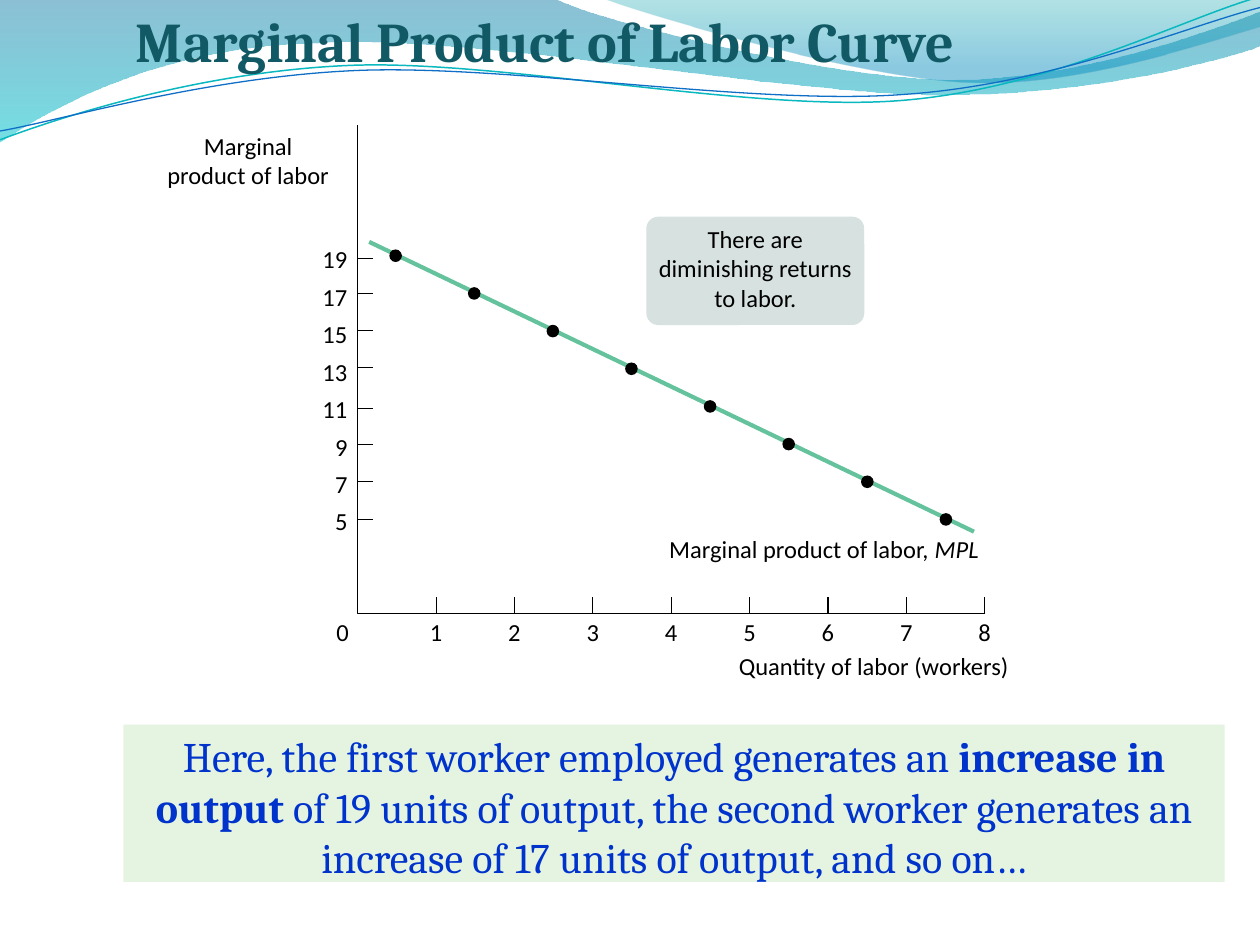
"""Build the marginal product of labor slide."""
import pptx
import pptx.dml.color
import pptx.enum.shapes
import pptx.enum.text
import pptx.oxml.ns
import pptx.util
import lxml.etree

Inches, Pt = pptx.util.Inches, pptx.util.Pt
qn = pptx.oxml.ns.qn
SHAPES = pptx.enum.shapes.MSO_SHAPE
ALIGN = pptx.enum.text.PP_ALIGN

TITLE = [("Marginal Product of Labor Curve", "b")]
SUMMARY = [
    ("Here, the first worker employed generates an ", ""),
    ("increase in output", "b"),
    (" of 19 units of output, the second worker generates an increase of 17 units of output, and so on…", ""),
]
CURVE_LABEL = [("Marginal product of labor, ", ""), ("MPL", "i")]
CALLOUT = [("There are diminishing returns to labor.", "")]
Y_TITLE = [("Marginal product of labor", "")]
X_TITLE = [("Quantity of labor (workers)", "")]
PRODUCT_TICKS = {19: 2.05, 17: 2.33, 15: 2.62, 13: 2.92, 11: 3.24, 9: 3.53, 7: 3.82, 5: 4.12}
WORKERS = range(9)

BANDS = [
    ([[(0, 0)], [(4.4, -0.01)],
      [(4.76, 0.17), (6.64, 0.63), (7.58, 0.63)],
      [(8.53, 0.63), (9.58, 0.26), (10, 0.09)], [(10.01, 0.36)],
      [(9.83, 0.44), (8.7, 0.76), (7.46, 0.75)],
      [(6.22, 0.75), (3.82, 0.28), (2.57, 0.34)],
      [(1.29, 0.36), (0.46, 0.83), (-0.01, 1.13)], [(0, 0)]],
     [(0, "0074A1", 45), (1, "00C6CF", 55)]),
    ([[(4.79, -0.01)],
      [(5.09, 0.11), (6.82, 0.62), (7.69, 0.65)],
      [(8.56, 0.69), (9.61, 0.32), (10, 0.21)], [(10, 0)], [(4.79, -0.01)]],
     [(0, "00A1A9", 30), (0.8, "008BBF", 45)]),
]
WAVES = [
    ([[(0, 1.11)], [(0.48, 0.93), (1.58, 0.57), (2.77, 0.52)],
      [(3.95, 0.47), (5.93, 0.89), (7.13, 0.8)],
      [(8.33, 0.71), (9.38, 0.15), (9.98, -0.02)]], "0AB8BF", 0.85),
    ([[(0, 1.04)], [(0.47, 0.96), (1.64, 0.61), (2.83, 0.56)],
      [(4.03, 0.51), (5.97, 0.84), (7.17, 0.75)],
      [(8.36, 0.67), (9.41, 0.21), (10, 0.06)]], "0F6FC6", 0.75),
]
AXES = [[(7.82, 4.87)], [(2.84, 4.87)], [(2.84, 0.99)]]

ORIGIN_X, ORIGIN_Y = 2.84, 4.87
WORKER_STEP = 0.622
DOT_SIZE = 0.1
DIGIT_WIDTH = 0.1

presentation = pptx.Presentation()
presentation.slide_width, presentation.slide_height = Inches(10), Inches(7.5)
slide = presentation.slides.add_slide(presentation.slide_layouts[6])


def color(value):
    return pptx.dml.color.RGBColor.from_string(value)


def set_line(shape, value, width):
    shape.line.color.rgb = color(value)
    shape.line.width = Pt(width)


def add_path(segments, closed):
    ends = [tuple(map(Inches, segment[-1])) for segment in segments]
    builder = slide.shapes.build_freeform(*ends[0])
    builder.add_line_segments(ends[1:], close=closed)
    shape = builder.convert_to_shape()
    shape.shadow.inherit = False
    lines = list(shape.element.spPr.iter(qn("a:lnTo")))
    for line, segment in zip(lines, segments[1:]):
        if len(segment) == 3:
            curve = lxml.etree.Element(qn("a:cubicBezTo"))
            for x, y in segment:
                point = lxml.etree.SubElement(curve, qn("a:pt"))
                point.set("x", str(Inches(x) - shape.left))
                point.set("y", str(Inches(y) - shape.top))
            line.getparent().replace(line, curve)
    return shape


def add_band(segments, stops):
    shape = add_path(segments, True)
    shape.line.fill.background()
    shape.fill.gradient()
    shape.fill.gradient_angle = 270
    for stop, (position, value, _) in zip(shape.fill.gradient_stops, stops):
        stop.position = position
        stop.color.rgb = color(value)
    for element, (_, _, opacity) in zip(shape.element.spPr.iter(qn("a:srgbClr")), stops):
        lxml.etree.SubElement(element, qn("a:alpha")).set("val", str(opacity * 1000))


def add_curve(segments, value, width):
    shape = add_path(segments, False)
    shape.fill.background()
    set_line(shape, value, width)


def add_line(start, end, value="000000", width=0.63):
    line = slide.shapes.add_connector(
        pptx.enum.shapes.MSO_CONNECTOR.STRAIGHT, *map(Inches, (*start, *end)))
    set_line(line, value, width)
    lxml.etree.SubElement(line.element.spPr, qn("a:effectLst"))


def add_filled(kind, box, value):
    shape = slide.shapes.add_shape(kind, *map(Inches, box))
    shape.shadow.inherit = False
    shape.fill.solid()
    shape.fill.fore_color.rgb = color(value)
    shape.line.fill.background()
    return shape


def write(shape, runs, size=14, font="Calibri", value="000000",
          align=ALIGN.CENTER, wrap=True, insets=(0, 0)):
    frame = shape.text_frame
    frame.word_wrap = wrap
    frame.vertical_anchor = pptx.enum.text.MSO_ANCHOR.TOP
    frame.margin_left = frame.margin_right = Inches(insets[0])
    frame.margin_top = frame.margin_bottom = Inches(insets[1])
    paragraph = frame.paragraphs[0]
    paragraph.alignment = align
    for text, style in runs:
        run = paragraph.add_run()
        run.text = text
        run.font.size, run.font.name = Pt(size), font
        run.font.color.rgb = color(value)
        run.font.bold, run.font.italic = style == "b", style == "i"
    return paragraph


def add_text(box, runs, **options):
    write(slide.shapes.add_textbox(*map(Inches, box)), runs, **options)


def add_number(left, top, number):
    text = str(number)
    add_text((left, top, DIGIT_WIDTH * len(text), 0.19), [(text, "")], align=ALIGN.LEFT, wrap=False)


for band in BANDS:
    add_band(*band)
for wave in WAVES:
    add_curve(*wave)

summary = add_filled(SHAPES.RECTANGLE, (0.98, 5.75, 8.74, 1.25), "E5F4E0")
write(summary, SUMMARY, size=24, font="Cambria", value="0033CC",
      insets=(0.1, 0.05)).space_before = Pt(4.8)
add_text((0.98, 0, 8.74, 0.64), TITLE, size=32, font="Cambria", value="115964",
         align=ALIGN.LEFT, insets=(0.1, 0.05))

add_line((2.93, 1.92), (7.73, 4.22), "64C29C", 2.38)
add_curve(AXES, "000000", 0.63)
for worker in WORKERS:
    x = ORIGIN_X + worker * WORKER_STEP
    if worker:
        add_line((x, ORIGIN_Y), (x, ORIGIN_Y - 0.13))
    add_number(x - 0.05 if worker else 2.67, 4.9, worker)
for index, (product, y) in enumerate(PRODUCT_TICKS.items()):
    add_line((ORIGIN_X, y), (ORIGIN_X + 0.12, y))
    add_number(2.76 - DIGIT_WIDTH * len(str(product)), 1.94 + index * 0.297, product)
    add_filled(SHAPES.OVAL, (3.09 + index * 0.624, 1.98 + index * 0.299, DOT_SIZE, DOT_SIZE), "000000")

add_text((5.21, 4.24, 2.66, 0.24), CURVE_LABEL, wrap=False)
add_text((1.29, 1.04, 1.36, 0.47), Y_TITLE)
add_text((5.78, 5.17, 2.31, 0.24), X_TITLE, wrap=False)
callout = add_filled(SHAPES.ROUNDED_RECTANGLE, (5.13, 1.72, 1.73, 0.86), "D7E2E0")
callout.adjustments[0] = 0.11
write(callout, CALLOUT, insets=(0.01, 0.03))

presentation.save("out.pptx")
